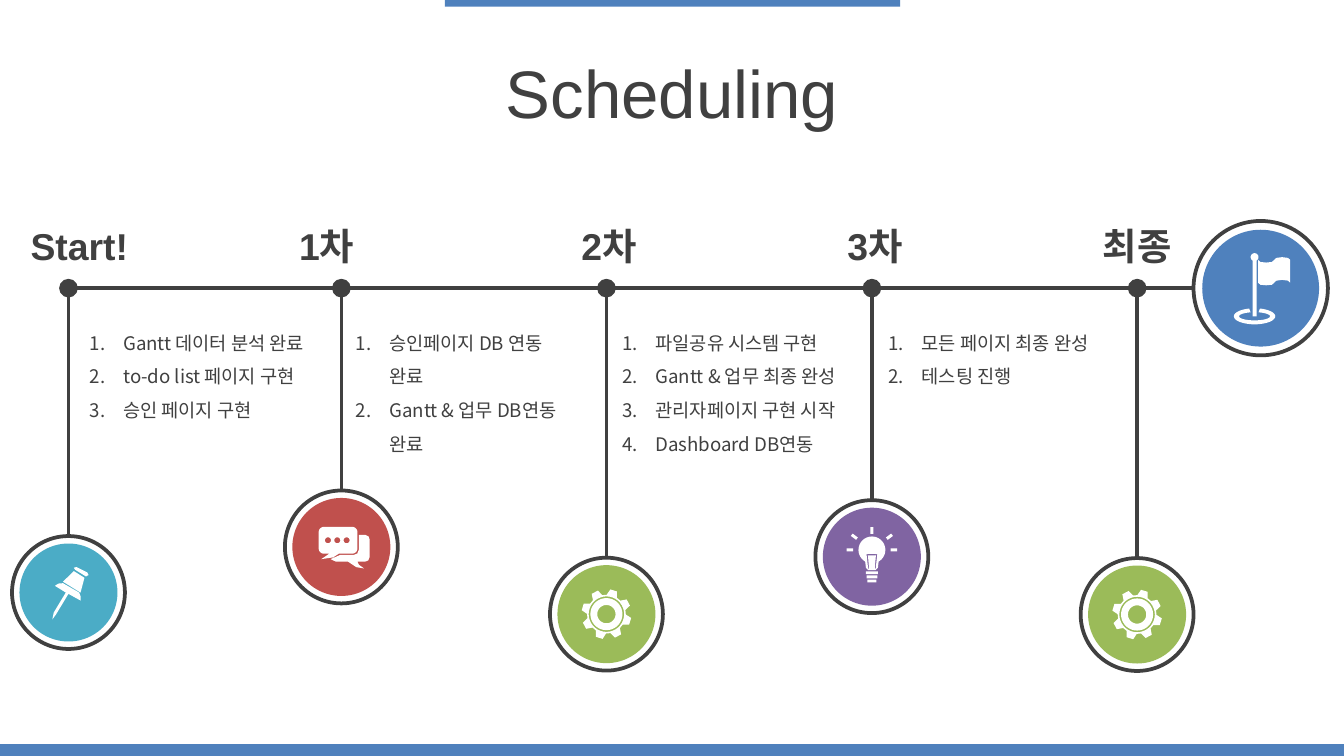
from math import cos, radians, sin

from pptx import Presentation
from pptx.dml.color import RGBColor
from pptx.enum.shapes import MSO_CONNECTOR as CONN, MSO_SHAPE as SHAPE
from pptx.enum.text import MSO_ANCHOR as ANCHOR, PP_ALIGN as ALIGN
from pptx.oxml.ns import qn
from pptx.util import Pt

DARK, BLUE, WHITE = "404040", "4F81BD", "FFFFFF"
KOREAN = "Noto Sans CJK KR"
WIDTH, HEIGHT = 720, 405
AXIS_Y, BODY_X, BODY_STEP, BODY_Y = 154.4, 41, 142.6, 168
BIG, SMALL = 72, 60.5

STAGES = [
    ("Start!", 36.7, 42.5, 287.2, "4BACC6", "pin",
     ["Gantt 데이터 분석 완료", "to-do list 페이지 구현", "승인 페이지 구현"]),
    ("1차", 182.9, 175, 262.8, "C0504D", "chat",
     ["승인페이지 DB 연동\v완료", "Gantt & 업무 DB연동 완료"]),
    ("2차", 324.9, 326.2, 298.8, "9BBB59", "gear",
     ["파일공유 시스템 구현", "Gantt & 업무 최종 완성", "관리자페이지 구현 시작", "Dashboard DB연동"]),
    ("3차", 467.1, 468.7, 268, "8064A2", "bulb",
     ["모든 페이지 최종 완성", "테스팅 진행"]),
    ("최종", 609.2, 609.2, 299, "9BBB59", "gear", []),
]


def arc(cx, cy, rx, ry, start=0, end=360, n=36):
    angles = [radians(start + (end - start) * i / n) for i in range(n + 1)]
    return [(cx + rx * cos(a), cy + ry * sin(a)) for a in angles]


def box(x1, y1, x2, y2):
    return [(x1, y1), (x2, y1), (x2, y2), (x1, y2)]


def ray(angle, inner, outer):
    c, d = cos(radians(angle)), sin(radians(angle))
    return [(r * c - w * d, r * d + w * c - 3.6)
            for r, w in ((inner, -0.8), (outer, -0.8), (outer, 0.8), (inner, 0.8))]


def gear():
    teeth = [(r * cos(radians(a)), r * sin(radians(a)))
             for tooth in range(8)
             for a, r in ((-16, 10.4), (-8, 13.4), (8, 13.4), (16, 10.4))
             for a in [a + 45 * tooth + 17]]
    return [teeth] + [arc(0, 0, r, r) for r in (9.5, 8.6, 4.9)]


WAVE = [(-1.4, -15.1), (-0.2, -14), (2.9, -13.7), (6, -14), (7.2, -15.1),
        (8.4, -16.2), (11.5, -16.6), (14.6, -16.2), (15.8, -15.1)]
ICONS = {
    "pin": [
        [(-2.9, -5), (5.8, 0), (6.6, 2.2), (6.5, 4.3), (0, 0.7), (-6.5, 11.5),
         (-8.6, 14.4), (-7.9, 10.8), (-1.4, 0), (-7.2, -3.6), (-5.4, -4.8)],
        [(2.9, -11.5), (8.6, -7.9), (6.5, 0), (-2.9, -5.8)],
        [(4.3, -13.7), (10.1, -10.8), (10.8, -9.4), (9.4, -8.6), (3.6, -12.2), (2.9, -13.3)],
    ],
    "chat": [
        arc(-9.3, -7.9, 2.9, 2.9, 180, 270, 6) + arc(5.7, -7.9, 2.9, 2.9, 270, 360, 6)
        + arc(5.7, 0.7, 2.9, 2.9, 0, 90, 6) + [(-1.4, 3.6), (-4.5, 5.6), (-10.8, 6.5), (-6.5, 3.6)]
        + arc(-9.3, 0.7, 2.9, 2.9, 90, 180, 6),
        [(9.4, -6.5), (12.8, -6.5), (14.6, -5.6), (15.1, -4), (15.1, 5.4), (14.4, 7.2),
         (12.6, 7.9), (8.6, 7.9), (9.4, 9.5), (12.2, 11.5), (8, 10.8), (3.6, 7.9),
         (-2.9, 7.9), (-5.8, 6.5), (-0.7, 4.3), (6.5, 4.3), (8.5, 3.5), (9.4, 1.4)],
    ] + [arc(x, -3.6, 1.6, 1.6) for x in (-7.2, -2.2, 2.8)],
    "gear": gear(),
    "bulb": [
        arc(0, -3.6, 7.2, 7.2, 120, 420) + [(3.2, 6), (2, 7.2), (-2, 7.2), (-3.2, 6)],
        [(-2.9, -1.4), (-2.2, -1.4), (-1.5, 6.5), (-2, 6.5)],
        [(2.9, -1.4), (2.2, -1.4), (1.5, 6.5), (2, 6.5)],
        box(-2.2, -1.4, 2.2, -0.7),
    ] + [box(-w, y, w, y + 1.5) for w, y in ((3.2, 7.9), (2.9, 10.1), (2.4, 12.3))]
    + [ray(a, 10, 13.5) for a in (180, 217, 323, 360)] + [ray(270, 8.6, 12.2)],
    "flag": [
        WAVE + [(x, y + 12.2) for x, y in reversed(WAVE)],
        arc(-3.3, -16.6, 2.1, 2.1, 120, 420) + [(-2.2, 15.1), (-4.4, 15.1)],
        arc(-3.3, 15.1, 11.1, 4.3, -75, 255) + arc(-3.3, 15.1, 8.3, 2.2, 255, -75),
    ],
}


def rgb(color):
    return RGBColor.from_string(color)


def paint(sp, fill, line=None):
    sp.shadow.inherit = False
    sp.fill.solid()
    sp.fill.fore_color.rgb = rgb(fill)
    if line:
        sp.line.color.rgb = rgb(line)
        sp.line.width = Pt(2)
    else:
        sp.line.fill.background()


def add_shape(s, kind, x, y, w, h, fill, line=None):
    paint(s.shapes.add_shape(kind, Pt(x), Pt(y), Pt(w), Pt(h)), fill, line)


def add_line(s, x1, y1, x2, y2, dot=False):
    cx = s.shapes.add_connector(CONN.STRAIGHT, Pt(x1), Pt(y1), Pt(x2), Pt(y2))
    cx.line.color.rgb = rgb(DARK)
    cx.line.width = Pt(2)
    if dot:
        head = cx.line._ln.makeelement(qn("a:headEnd"), {"type": "oval", "w": "lg", "len": "lg"})
        cx.line._ln.append(head)
    pr = cx._element.spPr
    pr.append(pr.makeelement(qn("a:effectLst"), {}))


def add_text(s, x, y, w, h, lines, size, bold=False, numbered=False):
    tf = s.shapes.add_textbox(Pt(x), Pt(y), Pt(w), Pt(h)).text_frame
    tf.word_wrap = True
    tf.vertical_anchor = ANCHOR.TOP if numbered else ANCHOR.MIDDLE
    for i, line in enumerate(lines):
        p = tf.paragraphs[0] if i == 0 else tf.add_paragraph()
        p.text = line
        p.font.size, p.font.bold = Pt(size), bold
        p.font.color.rgb = rgb(DARK)
        p.font.name = KOREAN if numbered else "Arial"
        p.alignment = ALIGN.LEFT if numbered else ALIGN.CENTER
        if numbered:
            p.line_spacing = 1.5
            pr = p._p.get_or_add_pPr()
            pr.set("marL", str(Pt(18)))
            pr.set("indent", str(-Pt(18)))
            font = pr.find(qn("a:defRPr"))
            font.append(font.makeelement(qn("a:ea"), {"typeface": KOREAN}))
            font.addprevious(pr.makeelement(qn("a:buAutoNum"), {"type": "arabicPeriod"}))


def add_badge(s, cx, cy, size, gap, color, icon):
    for d, fill, line in ((size, WHITE, DARK), (size - 2 * gap, color, None)):
        add_shape(s, SHAPE.OVAL, cx - d / 2, cy - d / 2, d, d, fill, line)
    contours = [[(Pt(cx + x), Pt(cy + y)) for x, y in c] for c in ICONS[icon]]
    fb = s.shapes.build_freeform(*contours[0][0])
    for i, points in enumerate(contours):
        if i:
            fb.move_to(*points[0])
        fb.add_line_segments(points[1:], close=True)
    paint(fb.convert_to_shape(), WHITE)


def main():
    """Build the scheduling timeline slide."""
    prs = Presentation()
    prs.slide_width, prs.slide_height = Pt(WIDTH), Pt(HEIGHT)
    s = prs.slides.add_slide(prs.slide_layouts[6])
    add_shape(s, SHAPE.RECTANGLE, 238.3, 0, 244, 3.6, BLUE)
    add_shape(s, SHAPE.RECTANGLE, 0, 398.7, WIDTH, 6.3, BLUE)
    add_text(s, 0, 26.6, WIDTH, 45.4, ["Scheduling"], 36)
    add_line(s, STAGES[0][1], AXIS_Y, 640, AXIS_Y)
    for i, (label, x, label_x, top, color, icon, tasks) in enumerate(STAGES):
        add_text(s, label_x - 48, 114.5, 96, 34, [label], 20, bold=True)
        add_line(s, x, AXIS_Y, x, top, dot=True)
        add_badge(s, x, top + SMALL / 2, SMALL, 4, color, icon)
        if tasks:
            add_text(s, BODY_X + i * BODY_STEP, BODY_Y, 141, 80, tasks, 10, numbered=True)
    add_badge(s, 675.4, AXIS_Y, BIG, 4.7, BLUE, "flag")
    prs.save("out.pptx")


if __name__ == "__main__":
    main()
